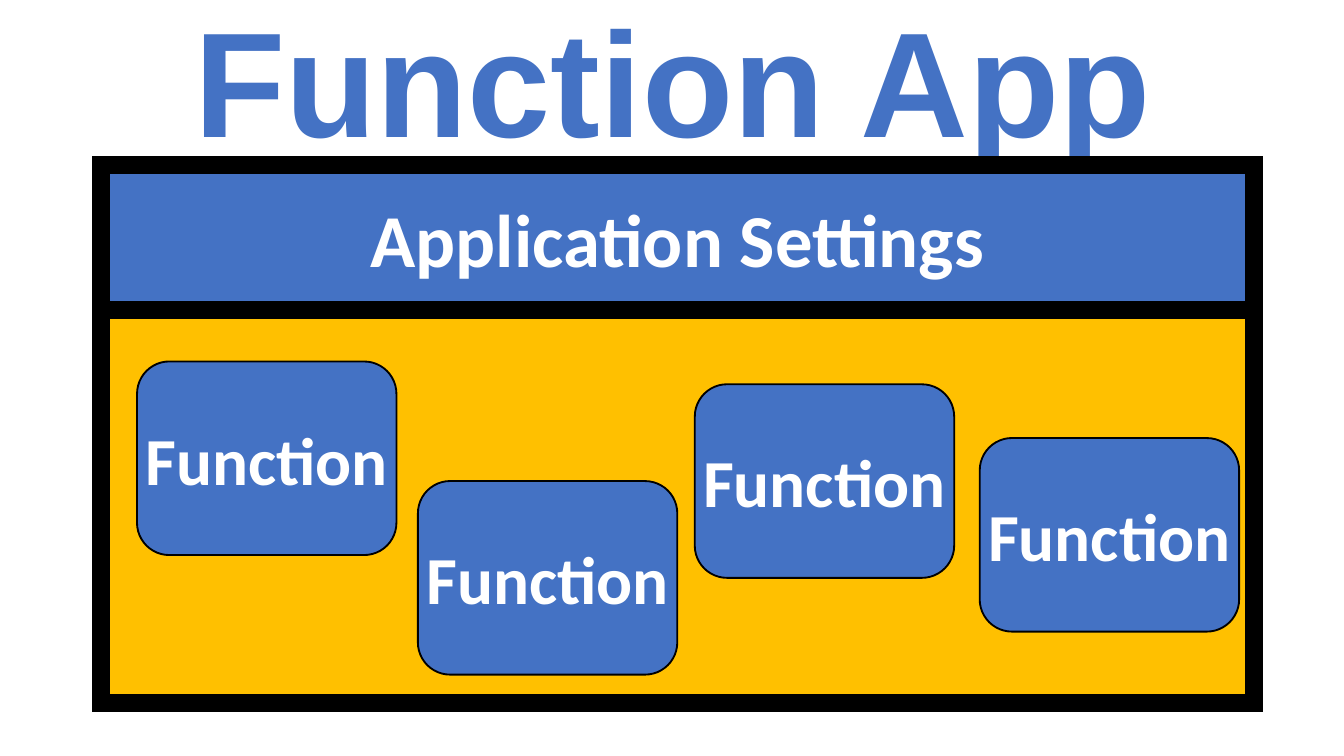
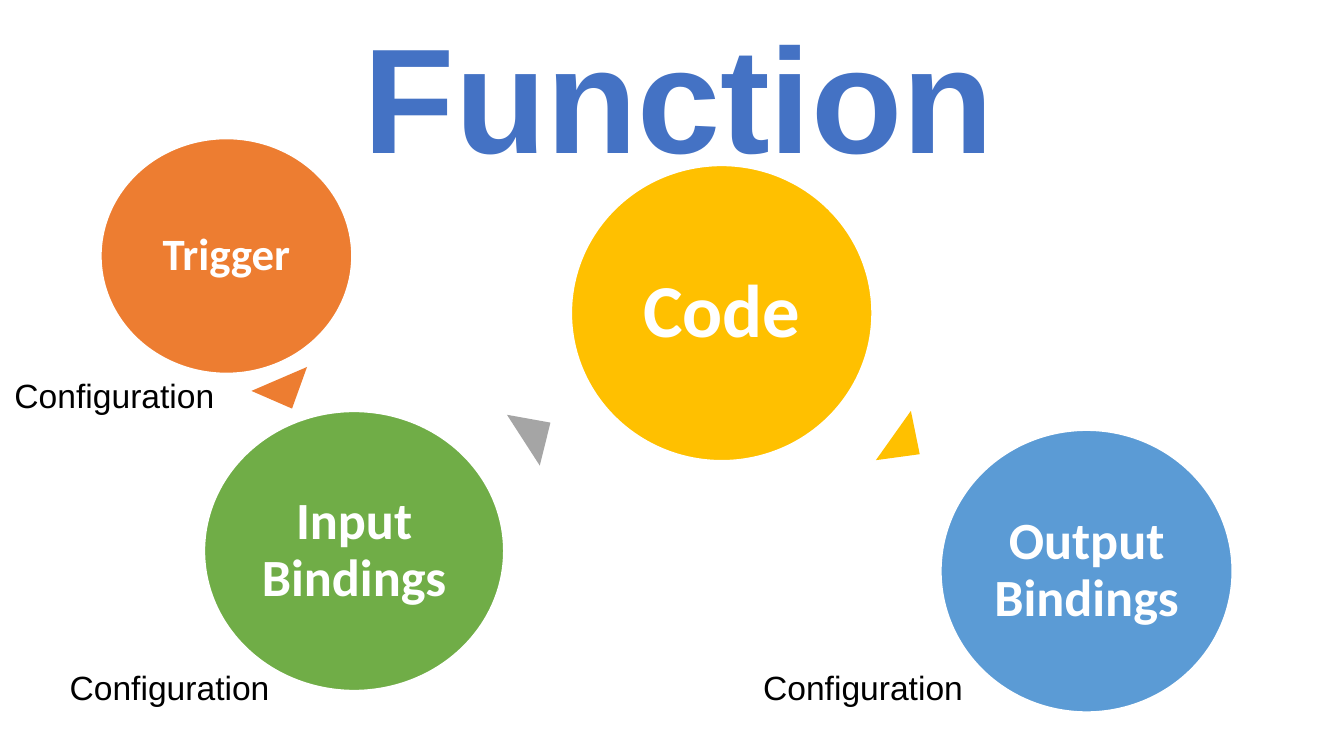
from lxml import etree
from pptx import Presentation
from pptx.dml.color import RGBColor
from pptx.enum.shapes import MSO_SHAPE
from pptx.enum.text import MSO_ANCHOR, MSO_AUTO_SIZE, PP_ALIGN
from pptx.oxml.ns import qn
from pptx.util import Emu, Pt

RECTANGLE = MSO_SHAPE.RECTANGLE
ROUNDED = MSO_SHAPE.ROUNDED_RECTANGLE
OVAL = MSO_SHAPE.OVAL
TRIANGLE = MSO_SHAPE.ISOSCELES_TRIANGLE
LEFT, CENTER = PP_ALIGN.LEFT, PP_ALIGN.CENTER
MIDDLE, FIT_SHAPE = MSO_ANCHOR.MIDDLE, MSO_AUTO_SIZE.SHAPE_TO_FIT_TEXT

BLACK = RGBColor(0x00, 0x00, 0x00)
WHITE = RGBColor(0xFF, 0xFF, 0xFF)
BLUE = RGBColor(0x44, 0x72, 0xC4)
SKY = RGBColor(0x5B, 0x9B, 0xD5)
GOLD = RGBColor(0xFF, 0xC0, 0x00)
ORANGE = RGBColor(0xED, 0x7D, 0x31)
GREEN = RGBColor(0x70, 0xAD, 0x47)
GRAY = RGBColor(0xA5, 0xA5, 0xA5)

HEADING_FONT, SHAPE_FONT = "Arial", "Calibri"
EMU_PER_PX = 9144
SLIDE_WIDTH = 1000
FRAME_LINE = 9.75


def px(*lengths):
    """Turn lengths of 1/100 inch into EMU."""
    return [Emu(length * EMU_PER_PX) for length in lengths]


def write(frame, text, *, size, color=WHITE, font=SHAPE_FONT, bold=True,
          align=CENTER, wrap=True, spacing=None, insets=(10, 5)):
    """Fill a text frame with one formatted paragraph."""
    frame.word_wrap = wrap
    side, edge = px(*insets)
    frame.margin_left = frame.margin_right = side
    frame.margin_top = frame.margin_bottom = edge
    paragraph = frame.paragraphs[0]
    paragraph.alignment = align
    if spacing:
        paragraph.line_spacing = spacing
    run = paragraph.add_run()
    run.text = text
    run.font.size = Pt(size)
    run.font.name = font
    run.font.bold = bold
    run.font.color.rgb = color


def add_label(slide, text, box, **style):
    """Place left-aligned text directly on the slide."""
    frame = slide.shapes.add_textbox(*px(*box)).text_frame
    write(frame, text, font=HEADING_FONT, align=LEFT, **style)
    frame.auto_size = FIT_SHAPE


def add_title(slide, text, box):
    """Place the large blue slide title."""
    add_label(slide, text, box, size=80, color=BLUE, wrap=False)


def add_block(slide, kind, box, fill, line=None, width=1, text="", **style):
    """Draw a filled preset shape with an optional outline and text."""
    block = slide.shapes.add_shape(kind, *px(*box))
    block.shadow.inherit = False
    block.fill.solid()
    block.fill.fore_color.rgb = fill
    if line is None:
        block.line.fill.background()
    else:
        block.line.color.rgb = line
        block.line.width = Pt(width)
    if text:
        block.text_frame.vertical_anchor = MIDDLE
        write(block.text_frame, text, **style)
    return block


def add_panel(slide, height, fill, **content):
    """Draw a panel of the app with a thick, square-cornered frame."""
    panel = add_block(slide, RECTANGLE, (75, 123, 858, height), fill,
                      BLACK, FRAME_LINE, **content)
    outline = panel.element.spPr.find(qn("a:ln"))
    etree.SubElement(outline, qn("a:miter"), lim="800000")


def add_stage(slide, text, box, fill, size, inset):
    """Draw one circle of the function flow."""
    add_block(slide, OVAL, box, fill, WHITE, text=text, size=size,
              spacing=0.9, insets=(inset, inset))


def add_pointer(slide, left, top, angle, fill):
    """Draw a rotated triangle between two stages."""
    add_block(slide, TRIANGLE, (left, top, 45, 24), fill).rotation = angle


def build_function_app(slide):
    """Show the app as settings plus a set of functions."""
    add_title(slide, "Function App", (135, -14, 739, 145))
    add_panel(slide, 400, GOLD)
    add_panel(slide, 108, BLUE, text="Application Settings", size=40)
    for left, top in ((102, 269), (311, 358), (517, 286), (729, 326)):
        add_block(slide, ROUNDED, (left, top, 193, 144), BLUE, BLACK,
                  text="Function", size=36, wrap=False, insets=(0, 5))


def build_function(slide):
    """Show the parts of one function and how they follow each other."""
    add_title(slide, "Function", (261, -2, 494, 145))
    stages = (
        ("Trigger", (75, 103, 187, 175), ORANGE, 24, 3),
        ("Input Bindings", (152, 306, 223, 208), GREEN, 28, 4),
        ("Code", (425, 123, 224, 220), GOLD, 40, 6),
        ("Output Bindings", (700, 320, 217, 210), SKY, 28, 4),
    )
    for stage in stages:
        add_stage(slide, *stage)
    pointers = (
        (190, 281, 156.7, ORANGE),
        (377, 309, 57.1, GRAY),
        (652, 319, 125.4, GOLD),
    )
    for pointer in pointers:
        add_pointer(slide, *pointer)
    for left, top, wrap in ((42, 491, False), (558, 491, False), (1, 274, True)):
        add_label(slide, "Configuration", (left, top, 170, 40),
                  size=18, color=BLACK, bold=False, wrap=wrap)


def main():
    """Build both slides and save the deck."""
    deck = Presentation()
    deck.slide_width, = px(SLIDE_WIDTH)
    deck.slide_height = deck.slide_width * 9 // 16
    blank = deck.slide_layouts[6]
    for build in (build_function_app, build_function):
        build(deck.slides.add_slide(blank))
    deck.save("out.pptx")


if __name__ == "__main__":
    main()
